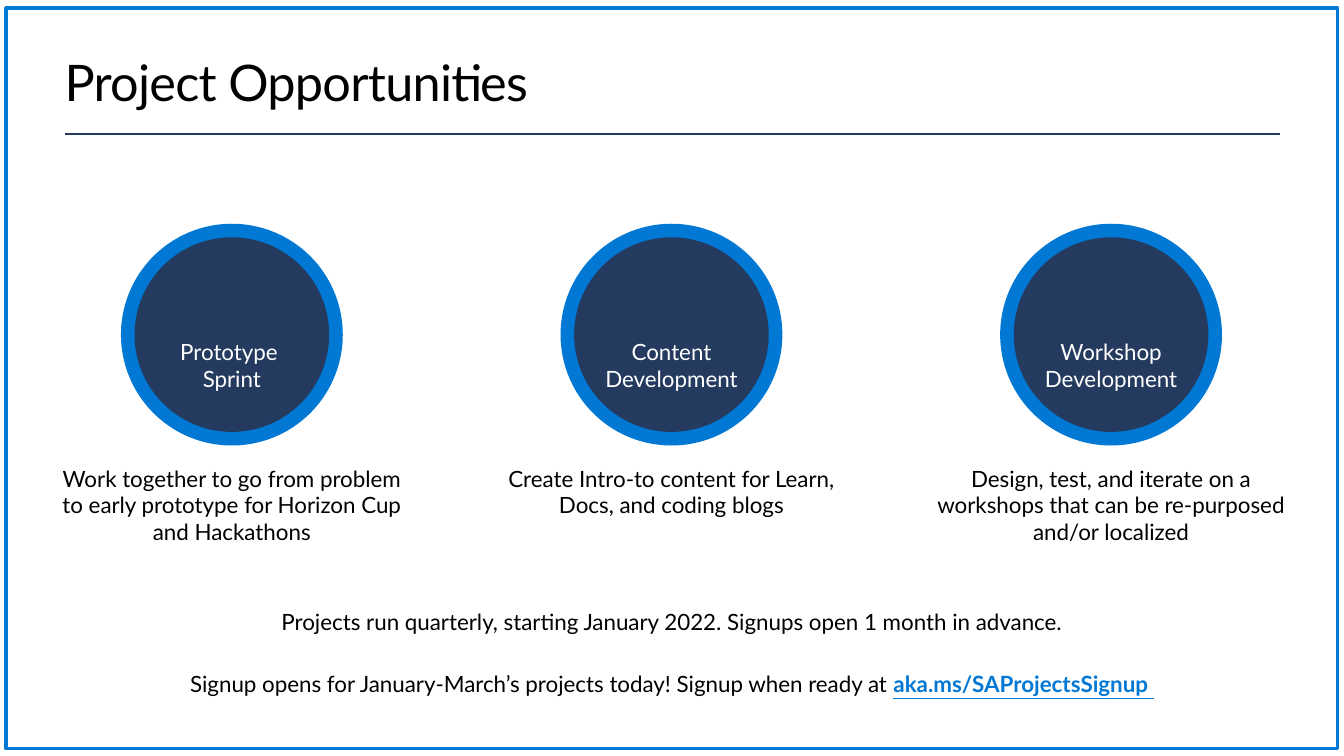
import pptx
import pptx.dml.color
import pptx.enum.shapes
import pptx.enum.text
import pptx.util
from lxml import etree
from pptx.util import Inches

COLOURS = {"blue": "0078D4", "navy": "243A5E", "black": "000000", "white": "FFFFFF"}
FONT = "Lato"
ALIGN = pptx.enum.text.PP_ALIGN
ANCHOR = pptx.enum.text.MSO_ANCHOR
SHAPES = pptx.enum.shapes.MSO_SHAPE
PROJECTS = [
    (["Prototype ", "Sprint"],
     "Work together to go from problem to early prototype for Horizon Cup and Hackathons"),
    (["Content", "Development"],
     "Create Intro-to content for Learn, Docs, and coding blogs"),
    (["Workshop", "Development"],
     "Design, test, and iterate on a workshops that can be re-purposed and/or localized"),
]


def rgb(name):
    return pptx.dml.color.RGBColor.from_string(COLOURS[name])


class SlideBuilder:
    def __init__(self, presentation):
        self.slide = presentation.slides.add_slide(presentation.slide_layouts[5])
        self.shapes = self.slide.shapes

    def style(self, paragraph, size, colour, align):
        paragraph.alignment = align
        paragraph.font.name = FONT
        paragraph.font.size = pptx.util.Pt(size)
        paragraph.font.color.rgb = rgb(colour)

    def frame(self, shape, anchor, inset=0):
        frame = shape.text_frame
        frame.word_wrap = True
        frame.auto_size = pptx.enum.text.MSO_AUTO_SIZE.NONE
        frame.vertical_anchor = anchor
        frame.margin_left = frame.margin_right = Inches(inset)
        frame.margin_top = frame.margin_bottom = Inches(inset / 2)
        return frame

    def title(self, text, left, top, width, height):
        title = self.shapes.title
        title.left, title.top = Inches(left), Inches(top)
        title.width, title.height = Inches(width), Inches(height)
        paragraph = self.frame(title, ANCHOR.MIDDLE).paragraphs[0]
        run = paragraph.add_run()
        run.text = text
        run.font._element.set("spc", "-50")
        self.style(paragraph, 36, "black", ALIGN.LEFT)

    def text(self, lines, left, top, width, height, colour="black",
             anchor=ANCHOR.TOP, inset=0, gap=0):
        box = self.shapes.add_textbox(Inches(left), Inches(top), Inches(width), Inches(height))
        frame = self.frame(box, anchor, inset)
        for index, line in enumerate(lines):
            paragraph = frame.paragraphs[0] if index == 0 else frame.add_paragraph()
            paragraph.add_run().text = line
            self.style(paragraph, 16, colour, ALIGN.CENTER)
            if index:
                paragraph.space_before = pptx.util.Pt(gap)
        return frame

    def link(self, paragraph, text):
        run = paragraph.add_run()
        run.text = text
        run.font.bold = run.font.underline = True
        run.font.color.rgb = rgb("blue")

    def rule(self, left, right, top):
        line = self.shapes.add_connector(
            pptx.enum.shapes.MSO_CONNECTOR.STRAIGHT,
            Inches(left), Inches(top), Inches(right), Inches(top))
        line.line.color.rgb = rgb("navy")
        line.line.width = pptx.util.Pt(2)
        etree.SubElement(line._element.spPr, pptx.oxml.ns.qn("a:effectLst"))

    def border(self, left, top, width, height):
        shape = self.shapes.add_shape(
            SHAPES.RECTANGLE, Inches(left), Inches(top), Inches(width), Inches(height))
        shape.shadow.inherit = False
        shape.fill.background()
        shape.line.color.rgb = rgb("blue")
        shape.line.width = pptx.util.Pt(2.25)

    def circle(self, centre_x, centre_y, diameter, colour):
        shape = self.shapes.add_shape(
            SHAPES.OVAL, Inches(centre_x - diameter / 2), Inches(centre_y - diameter / 2),
            Inches(diameter), Inches(diameter))
        shape.shadow.inherit = False
        shape.fill.solid()
        shape.fill.fore_color.rgb = rgb(colour)
        shape.line.fill.background()

    def project(self, centre_x, name, description):
        self.circle(centre_x, 3.32, 2.2, "blue")
        self.circle(centre_x, 3.32, 1.93, "navy")
        self.text(name, centre_x - 1.09, 3.35, 2.18, 0.54, "white", ANCHOR.BOTTOM)
        self.text([description], centre_x - 1.75, 4.61, 3.5, 0.81)


def main():
    presentation = pptx.Presentation()
    presentation.slide_width = Inches(13.33)
    presentation.slide_height = Inches(7.5)
    builder = SlideBuilder(presentation)
    builder.rule(0.64, 12.7, 1.33)
    builder.title("Project Opportunities", 0.64, 0.5, 12.05, 0.61)
    builder.border(0.06, 0.08, 13.21, 7.35)
    for index, (name, description) in enumerate(PROJECTS):
        builder.project(2.3 + 4.36 * index, name, description)
    signup = builder.text(
        ["Projects run quarterly, starting January 2022. Signups open 1 month in advance.",
         "Signup opens for January-March’s projects today! Signup when ready at "],
        0.06, 5.98, 13.21, 1.18, inset=0.1, gap=25.6)
    builder.link(signup.paragraphs[1], "aka.ms/SAProjectsSignup ")
    presentation.save("out.pptx")


if __name__ == "__main__":
    main()
